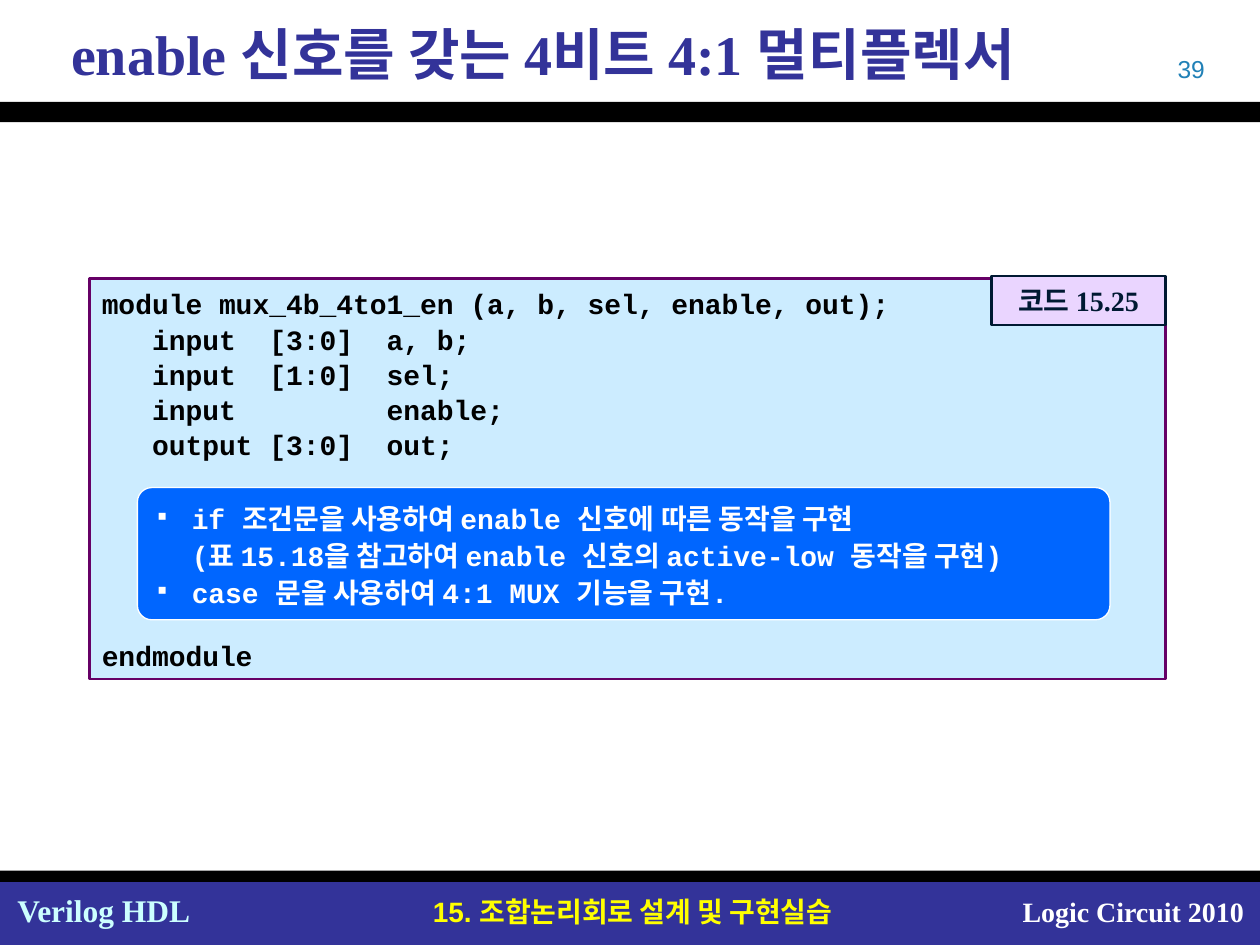
import pptx
import pptx.util
from lxml import etree
from pptx.dml.color import RGBColor
from pptx.enum.shapes import MSO_SHAPE
from pptx.enum.text import MSO_ANCHOR, PP_ALIGN
from pptx.oxml.ns import qn

Pt = pptx.util.Pt

INDIGO = RGBColor(0x33, 0x33, 0x99)
BLACK = RGBColor(0x00, 0x00, 0x00)
WHITE = RGBColor(0xFF, 0xFF, 0xFF)
YELLOW = RGBColor(0xFF, 0xFF, 0x00)
PALE_CYAN = RGBColor(0xCC, 0xFF, 0xFF)
PAGE_BLUE = RGBColor(0x21, 0x81, 0xB7)
CODE_FILL = RGBColor(0xCC, 0xEC, 0xFF)
CODE_LINE = RGBColor(0x66, 0x00, 0x66)
NOTE_FILL = RGBColor(0x00, 0x66, 0xFF)
LABEL_FILL = RGBColor(0xEA, 0xD5, 0xFF)
LABEL_INK = RGBColor(0x00, 0x19, 0x32)

SERIF, SANS, MONO = "Times New Roman", "Arial", "Courier New"
SLIDE_W, SLIDE_H = 720, 540

CODE = [
    "module mux_4b_4to1_en (a, b, sel, enable, out);",
    "   input  [3:0]  a, b;",
    "   input  [1:0]  sel;",
    "   input         enable;",
    "   output [3:0]  out;",
    "endmodule",
]
BODY_GAP = 100.5  # room left for the note between the ports and endmodule

NOTES = [
    (True, "if 조건문을 사용하여 enable 신호에 따른 동작을 구현"),
    (False, "(표 15.18을 참고하여 enable 신호의 active-low 동작을 구현)"),
    (True, "case 문을 사용하여 4:1 MUX 기능을 구현."),
]
NOTE_INDENT = 21.6


def add_panel(slide, box, fill, line=None, line_width=1.5, preset=MSO_SHAPE.RECTANGLE):
    panel = slide.shapes.add_shape(preset, *map(Pt, box))
    panel.shadow.inherit = False
    panel.fill.solid()
    panel.fill.fore_color.rgb = fill
    if line is None:
        panel.line.fill.background()
    else:
        panel.line.color.rgb = line
        panel.line.width = Pt(line_width)
    return panel


def set_frame(shape, anchor=MSO_ANCHOR.MIDDLE, wrap=True):
    frame = shape.text_frame
    frame.word_wrap = wrap
    frame.vertical_anchor = anchor
    frame.margin_left = frame.margin_right = Pt(7.2)
    frame.margin_top = frame.margin_bottom = Pt(3.6)
    return frame


def write(paragraph, text, font, size, color, bold=True, align=PP_ALIGN.LEFT):
    paragraph.alignment = align
    run = paragraph.add_run()
    run.text = text
    run.font.name = font
    run.font.size = Pt(size)
    run.font.bold = bold
    run.font.color.rgb = color


def add_paragraphs(frame, count):
    """Return count paragraphs, the first being the one the frame already has."""
    return [frame.paragraphs[0]] + [frame.add_paragraph() for _ in range(count - 1)]


def add_label(slide, box, *style, anchor=MSO_ANCHOR.TOP, **options):
    label = slide.shapes.add_textbox(*map(Pt, box))
    paragraph = set_frame(label, anchor).paragraphs[0]
    write(paragraph, *style, **options)
    return paragraph


def set_indent(paragraph, left, first=0, bullet=None):
    properties = paragraph._p.get_or_add_pPr()
    properties.set("marL", str(Pt(left)))
    properties.set("indent", str(Pt(first)))
    if bullet:
        etree.SubElement(properties, qn("a:buFont")).set("typeface", MONO)
        etree.SubElement(properties, qn("a:buChar")).set("char", bullet)
    else:
        etree.SubElement(properties, qn("a:buNone"))


def add_header(slide, box):
    left, top, width, height = box
    rule_h = 11.5
    add_panel(slide, (left, top + height - rule_h, width, rule_h), BLACK)
    title = add_label(slide, (left + 12, top + 7.2, width - 24, 46.8),
                      "enable 신호를 갖는 4비트 4:1 멀티플렉서", SERIF, 32, INDIGO,
                      anchor=MSO_ANCHOR.MIDDLE)
    set_indent(title, 21.6)
    add_label(slide, (left + width - 192.2, top + 27.4, 167.8, 23.8),
              "39", SANS, 14, PAGE_BLUE, bold=False, align=PP_ALIGN.RIGHT)


def add_footer(slide, box):
    left, top, width, height = box
    rule_h = 6.5
    band_top = top + rule_h
    add_panel(slide, (left, band_top, width, height - rule_h), INDIGO)
    add_panel(slide, (left, top, width, rule_h), BLACK)
    add_label(slide, (left + 2.9, band_top + 1.4, 122, 28.8),
              "Verilog HDL", SERIF, 18, PALE_CYAN)
    add_label(slide, (left + 221, band_top + 3.6, 281, 26.6),
              "15. 조합논리회로 설계 및 구현실습", SANS, 16, YELLOW,
              align=PP_ALIGN.CENTER)
    add_label(slide, (left + width - 152.6, band_top + 3.6, 150.5, 26.6),
              "Logic Circuit 2010", SERIF, 16, WHITE, align=PP_ALIGN.RIGHT)


def add_note(slide, box):
    note = add_panel(slide, box, NOTE_FILL, WHITE, 0.75, MSO_SHAPE.ROUNDED_RECTANGLE)
    note.adjustments[0] = 0.11
    paragraphs = add_paragraphs(set_frame(note), len(NOTES))
    for paragraph, (bulleted, text) in zip(paragraphs, NOTES):
        paragraph.line_spacing = 1.1
        if bulleted:
            set_indent(paragraph, NOTE_INDENT, -NOTE_INDENT, "▪")
        else:
            set_indent(paragraph, NOTE_INDENT)
        write(paragraph, text, MONO, 16, WHITE)


def add_code_listing(slide, box):
    left, top, width, height = box
    listing = add_panel(slide, box, CODE_FILL, CODE_LINE)
    paragraphs = add_paragraphs(set_frame(listing), len(CODE))
    for paragraph, text in zip(paragraphs, CODE):
        paragraph.line_spacing = 1.05
        write(paragraph, text, MONO, 16, BLACK)
    paragraphs[-1].space_before = Pt(BODY_GAP)

    add_note(slide, (left + 27.4, top + 119.5, 555.8, 75.6))

    tag_w = 99.4
    tag = add_panel(slide, (left + width - tag_w, top - 1.4, tag_w, 28.1),
                    LABEL_FILL, LABEL_INK)
    write(set_frame(tag, wrap=False).paragraphs[0], "코드 15.25", SERIF, 16,
          LABEL_INK, align=PP_ALIGN.CENTER)


def main():
    deck = pptx.Presentation()
    deck.slide_width, deck.slide_height = Pt(SLIDE_W), Pt(SLIDE_H)
    slide = deck.slides.add_slide(deck.slide_layouts[6])
    add_footer(slide, (0, 497.5, SLIDE_W, SLIDE_H - 497.5))
    add_header(slide, (0, 0, SLIDE_W, 69.8))
    add_code_listing(slide, (51.1, 159.1, 614.9, 229))
    deck.save("out.pptx")


if __name__ == "__main__":
    main()
